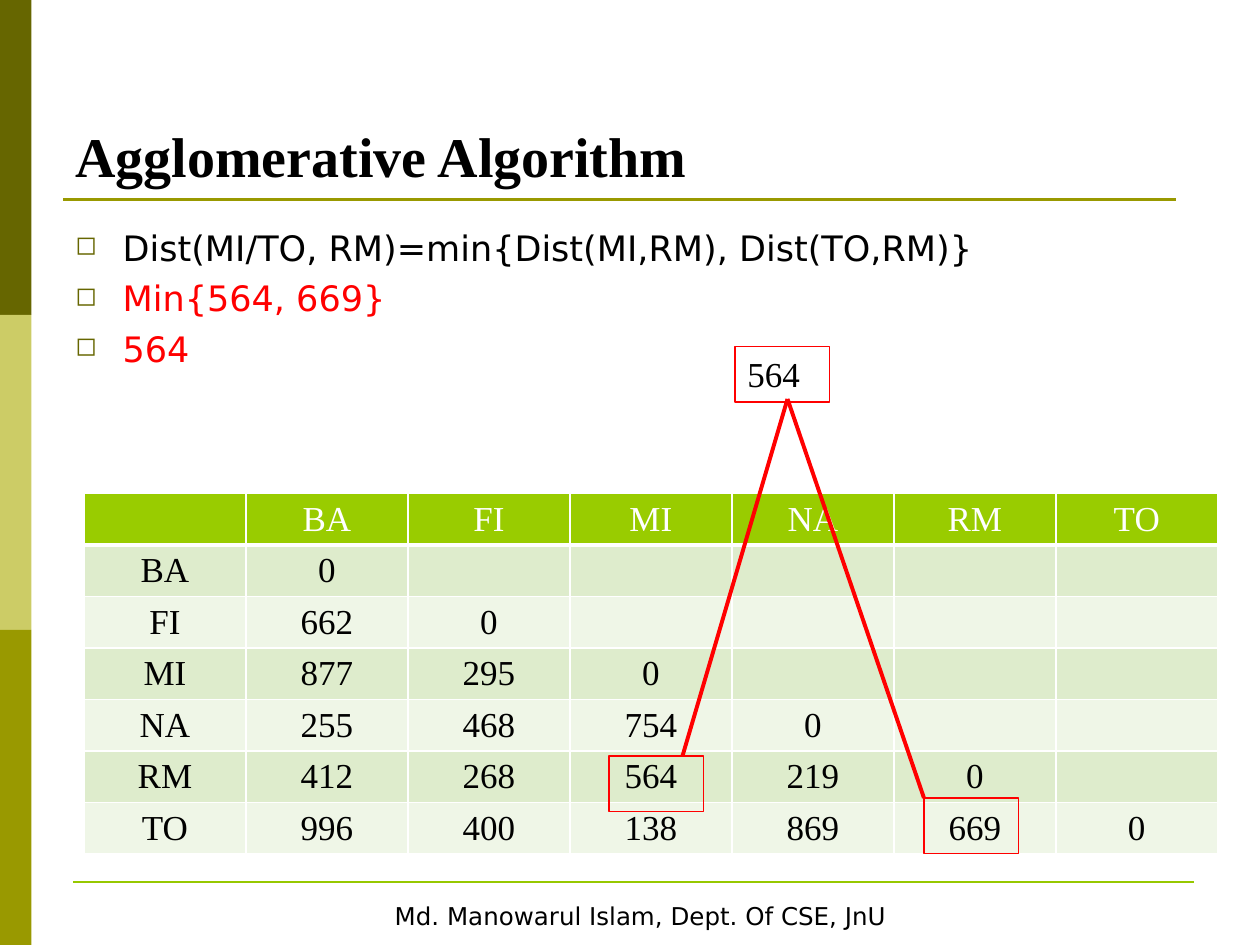
from lxml.etree import SubElement
from pptx import Presentation
from pptx.dml.color import RGBColor
from pptx.enum.shapes import MSO_CONNECTOR, MSO_SHAPE
from pptx.enum.text import MSO_ANCHOR as ANCHOR, PP_ALIGN as ALIGN
from pptx.oxml.ns import qn
from pptx.util import Pt

BLACK = RGBColor(0, 0, 0)
WHITE = RGBColor(0xFF, 0xFF, 0xFF)
RED = RGBColor(0xFF, 0, 0)
DARK_OLIVE = RGBColor(0x66, 0x66, 0)
PALE_OLIVE = RGBColor(0xCC, 0xCC, 0x66)
OLIVE = RGBColor(0x99, 0x99, 0)
FOOTER_GREEN = RGBColor(0x96, 0xC8, 0)
HEADER_GREEN = RGBColor(0x99, 0xCC, 0)
BANDS = (RGBColor(0xDE, 0xEC, 0xCC), RGBColor(0xEF, 0xF6, 0xE7))
SERIF, SANS = "Times New Roman", "DejaVu Sans"

# Content
TITLE = "Agglomerative Algorithm"
STEPS = [
    ("Dist(MI/TO, RM)=min{Dist(MI,RM), Dist(TO,RM)}", BLACK),
    ("Min{564, 669}", RED),
    ("564", RED),
]
CITIES = ["BA", "FI", "MI", "NA", "RM", "TO"]
DISTANCES = [
    [0],
    [662, 0],
    [877, 295, 0],
    [255, 468, 754, 0],
    [412, 268, 564, 219, 0],
    [996, 400, 138, 869, 669, 0],
]
MINIMUM = "564"
FOOTER = "Md. Manowarul Islam, Dept. Of CSE, JnU"

# Layout, in points
SIDE_BARS = (DARK_OLIVE, PALE_OLIVE, OLIVE)
BAR_WIDTH, BAR_HEIGHT = 18, 180
TABLE = (48, 282, 648, 204.4)
MARK_SIZE = (54, 31.7)
MARKS = [(348, 432), (528, 456)]
RESULT = (420, 198)
APEX = (450, 228)
LINK_STARTS = [(390, 432), (528, 456)]


def write(frame, text, font=SERIF, size=20, color=BLACK, bold=False,
          align=ALIGN.LEFT, bullet=None, before=0, new=False):
    paragraph = frame.add_paragraph() if new else frame.paragraphs[0]
    if bullet:
        properties = paragraph._p.get_or_add_pPr()
        properties.set("marL", str(Pt(27)))
        properties.set("indent", str(-Pt(27)))
        bullet_color = SubElement(properties, qn("a:buClr"))
        SubElement(bullet_color, qn("a:srgbClr"), val=str(DARK_OLIVE))
        SubElement(properties, qn("a:buSzPct"), val="75000")
        SubElement(properties, qn("a:buChar"), char=bullet)
    paragraph.alignment = align
    paragraph.space_before = Pt(before)
    run = paragraph.add_run()
    run.text = text
    run.font.name, run.font.size, run.font.bold = font, Pt(size), bold
    run.font.color.rgb = color


def add_box(slide, left, top, width, height, fill=None, line=None, weight=0.75):
    shape = slide.shapes.add_shape(
        MSO_SHAPE.RECTANGLE, Pt(left), Pt(top), Pt(width), Pt(height))
    shape.shadow.inherit = False
    if fill is None:
        shape.fill.background()
    else:
        shape.fill.solid()
        shape.fill.fore_color.rgb = fill
    if line is None:
        shape.line.fill.background()
    else:
        shape.line.color.rgb = line
        shape.line.width = Pt(weight)
    shape.text_frame.vertical_anchor = ANCHOR.TOP
    return shape


def add_line(slide, start, end, color, weight):
    connector = slide.shapes.add_connector(
        MSO_CONNECTOR.STRAIGHT, *(Pt(value) for value in (*start, *end)))
    connector.line.color.rgb = color
    connector.line.width = Pt(weight)
    SubElement(connector._element.spPr, qn("a:effectLst"))


def add_text(slide, left, top, width, height, anchor=ANCHOR.TOP):
    frame = slide.shapes.add_textbox(
        Pt(left), Pt(top), Pt(width), Pt(height)).text_frame
    frame.word_wrap = True
    frame.vertical_anchor = anchor
    return frame


def set_borders(cell, bottom):
    properties = cell._tc.get_or_add_tcPr()
    weights = {"a:lnL": 1, "a:lnR": 1, "a:lnT": 1, "a:lnB": bottom}
    for position, (tag, weight) in enumerate(weights.items()):
        border = SubElement(properties, qn(tag), w=str(Pt(weight)))
        fill = SubElement(border, qn("a:solidFill"))
        SubElement(fill, qn("a:srgbClr"), val=str(WHITE))
        properties.insert(position, border)


def add_distance_table(slide):
    rows = [["", *CITIES]]
    rows += [[city, *values] for city, values in zip(CITIES, DISTANCES)]
    count = len(rows)
    left, top, width, height = TABLE
    table = slide.shapes.add_table(
        count, count, Pt(left), Pt(top), Pt(width), Pt(height)).table
    for index, row in enumerate(rows):
        table.rows[index].height = Pt(height / count)
        table.columns[index].width = Pt(width / count)
        header = index == 0
        for column in range(count):
            cell = table.cell(index, column)
            cell.fill.solid()
            cell.fill.fore_color.rgb = (
                HEADER_GREEN if header else BANDS[(index - 1) % 2])
            set_borders(cell, bottom=3 if header else 1)
            if column < len(row) and row[column] != "":
                write(cell.text_frame, str(row[column]), align=ALIGN.CENTER,
                      color=WHITE if header else BLACK)


def main():
    presentation = Presentation()
    presentation.slide_width, presentation.slide_height = Pt(720), Pt(540)
    slide = presentation.slides.add_slide(presentation.slide_layouts[6])

    # Side bars, rules and footer
    for index, color in enumerate(SIDE_BARS):
        add_box(slide, 0, index * BAR_HEIGHT, BAR_WIDTH, BAR_HEIGHT, fill=color)
    add_line(slide, (36, 114), (672, 114), OLIVE, 1.5)
    add_line(slide, (42, 504), (682.5, 504), FOOTER_GREEN, 1.5)
    footer = add_box(slide, 36, 511.2, 660, 25.2, fill=WHITE, line=WHITE, weight=2)
    footer.text_frame.word_wrap = False
    write(footer.text_frame, FOOTER, font=SANS, size=14, align=ALIGN.CENTER)

    # Distance matrix
    add_distance_table(slide)

    # Title and calculation steps
    write(add_text(slide, 36, 21.6, 648, 90, ANCHOR.BOTTOM), TITLE,
          size=32, bold=True)
    body = add_text(slide, 36, 126, 648, 356.4)
    for index, (text, color) in enumerate(STEPS):
        write(body, text, font=SANS, color=color, bullet="◻",
              before=4.7 if index else 0, new=index > 0)

    # Compared distances, linked to their minimum
    for mark in MARKS:
        add_box(slide, *mark, *MARK_SIZE, line=RED)
    for start in LINK_STARTS:
        add_line(slide, start, APEX, RED, 2.25)
    result = add_box(slide, *RESULT, *MARK_SIZE, line=RED)
    write(result.text_frame, MINIMUM)

    presentation.save("out.pptx")


if __name__ == "__main__":
    main()
